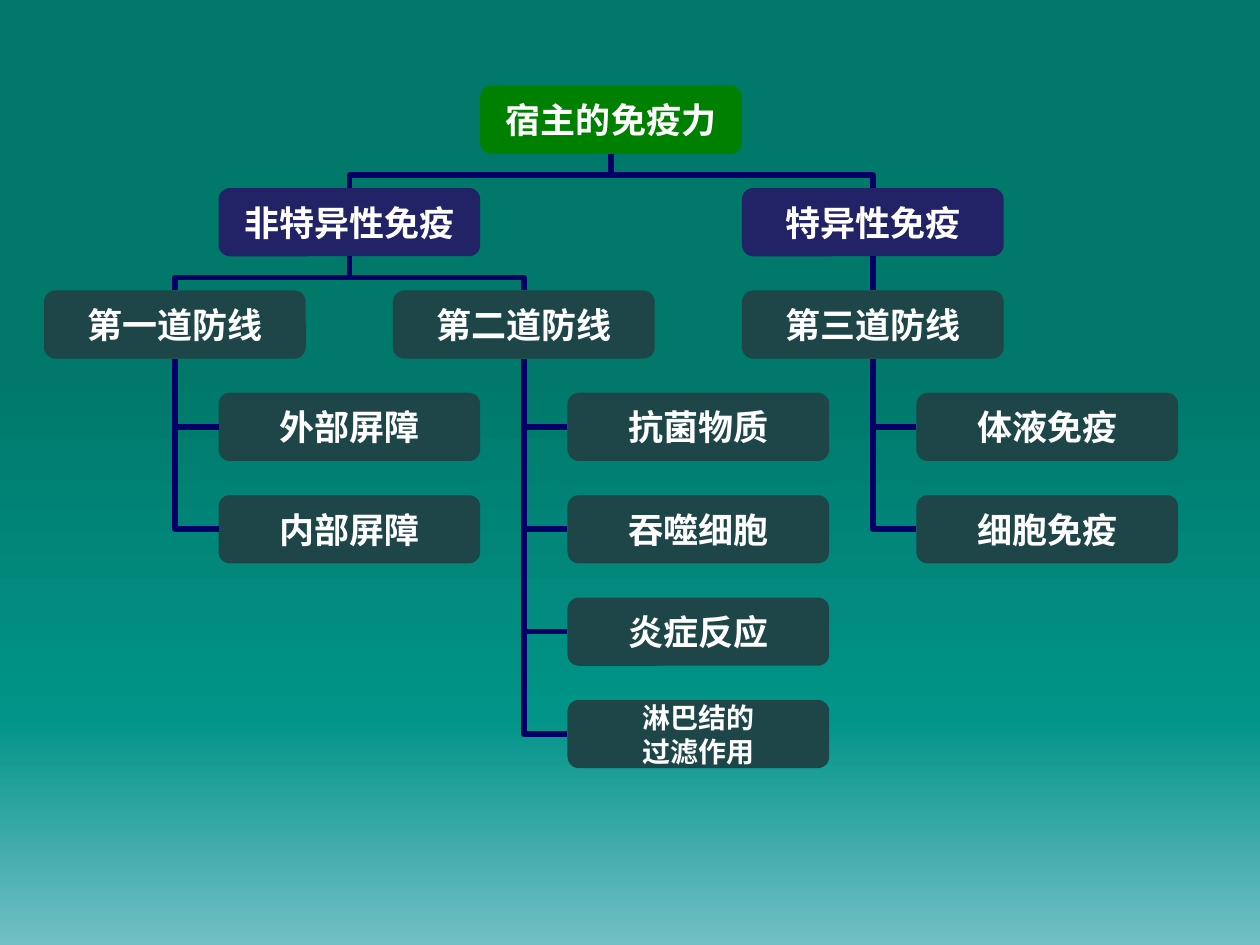
from copy import deepcopy

from lxml import etree
from pptx import Presentation
from pptx import util as u
from pptx.dml.color import RGBColor
from pptx.enum import shapes, text
from pptx.oxml.ns import qn

FONT = "Noto Sans CJK SC"
WHITE = RGBColor(0xFF, 0xFF, 0xFF)
GREEN = RGBColor(0x00, 0x80, 0x00)
INDIGO = RGBColor(0x22, 0x22, 0x67)
SLATE = RGBColor(0x1E, 0x46, 0x49)
NAVY = RGBColor(0x00, 0x00, 0x66)
BACKGROUND = [
    (0, RGBColor(0x00, 0x78, 0x6A)),
    (0.39, RGBColor(0x00, 0x78, 0x6A)),
    (0.76, RGBColor(0x01, 0x94, 0x88)),
    (1, RGBColor(0x72, 0xBF, 0xC5)),
]

# Boxes are one and a half columns wide; rows are one and a half boxes high.
LEFT, TOP = u.Inches(0.35), u.Inches(0.68)
COLUMN = u.Pt(99.7)
BOX_WIDTH, BOX_HEIGHT = int(COLUMN * 1.5), u.Pt(39)
ROW = int(BOX_HEIGHT * 1.5)

# label: (column, row, fill, parent)
BOXES = {
    "宿主的免疫力": (2.5, 0, GREEN, None),
    "非特异性免疫": (1, 1, INDIGO, "宿主的免疫力"),
    "特异性免疫": (4, 1, INDIGO, "宿主的免疫力"),
    "第一道防线": (0, 2, SLATE, "非特异性免疫"),
    "第二道防线": (2, 2, SLATE, "非特异性免疫"),
    "第三道防线": (4, 2, SLATE, "特异性免疫"),
    "外部屏障": (1, 3, SLATE, "第一道防线"),
    "内部屏障": (1, 4, SLATE, "第一道防线"),
    "抗菌物质": (3, 3, SLATE, "第二道防线"),
    "吞噬细胞": (3, 4, SLATE, "第二道防线"),
    "炎症反应": (3, 5, SLATE, "第二道防线"),
    "淋巴结的\n过滤作用": (3, 6, SLATE, "第二道防线"),
    "体液免疫": (5, 3, SLATE, "第三道防线"),
    "细胞免疫": (5, 4, SLATE, "第三道防线"),
}

presentation = Presentation()
presentation.slide_width, presentation.slide_height = u.Inches(10), u.Inches(7.5)
slide = presentation.slides.add_slide(presentation.slide_layouts[6])

fill = slide.background.fill
fill.gradient()
fill.gradient_angle = 270
stop_list = slide.element.find(".//" + qn("a:gsLst"))
for _ in BACKGROUND[2:]:
    stop_list.append(deepcopy(stop_list[0]))
for stop, (position, color) in zip(fill.gradient_stops, BACKGROUND):
    stop.position = position
    stop.color.rgb = color


def add_line(kind, x1, y1, x2, y2):
    connector = slide.shapes.add_connector(kind, *map(int, (x1, y1, x2, y2)))
    connector.line.color.rgb = NAVY
    connector.line.width = u.Pt(3.25)
    etree.SubElement(connector._element.spPr, qn("a:effectLst"))
    return connector


boxes = {}
for label, (column, row, color, parent_label) in BOXES.items():
    box = slide.shapes.add_shape(
        shapes.MSO_SHAPE.ROUNDED_RECTANGLE,
        int(LEFT + column * COLUMN), TOP + row * ROW, BOX_WIDTH, BOX_HEIGHT)
    boxes[label] = box
    box.shadow.inherit = False
    box.fill.solid()
    box.fill.fore_color.rgb = color
    box.line.fill.background()
    frame = box.text_frame
    frame_format = dict(text=label, word_wrap=True,
                        vertical_anchor=text.MSO_ANCHOR.MIDDLE,
                        margin_left=0, margin_top=0,
                        margin_right=0, margin_bottom=0)
    for name, value in frame_format.items():
        setattr(frame, name, value)
    font_format = dict(name=FONT, size=u.Pt(16 if "\n" in label else 20), bold=True)
    for paragraph in frame.paragraphs:
        paragraph.alignment = text.PP_ALIGN.CENTER
        font = paragraph.runs[0].font
        font.color.rgb = WHITE
        for name, value in font_format.items():
            setattr(font, name, value)
        etree.SubElement(font._element, qn("a:ea"), typeface=FONT)

    if parent_label is None:
        continue
    parent = boxes[parent_label]
    parent_x = parent.left + parent.width // 2
    parent_y = parent.top + parent.height
    child_x = box.left + box.width // 2
    if row > 2:  # along the side of a list
        connector = add_line(shapes.MSO_CONNECTOR.ELBOW, box.left,
                             box.top + box.height // 2, parent_x, parent_y)
        connector._element.spPr.find(qn("a:prstGeom")).set("prst", "bentConnector2")
    elif box.left == parent.left:
        connector = add_line(shapes.MSO_CONNECTOR.STRAIGHT,
                             child_x, box.top, parent_x, parent_y)
        connector.begin_connect(box, 0)
        connector.end_connect(parent, 2)
    else:  # up, across and up: a quarter-turned elbow around its centre
        center_x, center_y = (child_x + parent_x) / 2, (box.top + parent_y) / 2
        span, rise = abs(parent_x - child_x) / 2, (box.top - parent_y) / 2
        side = 1 if child_x < parent_x else -1
        connector = add_line(shapes.MSO_CONNECTOR.ELBOW,
                             center_x - side * rise, center_y - span,
                             center_x + side * rise, center_y + span)
        properties = connector._element.spPr
        quarter_turns = 3 if side == 1 else 1
        properties.find(qn("a:xfrm")).set("rot", str(quarter_turns * 90 * 60000))
        adjustments = properties.find(qn("a:prstGeom")).find(qn("a:avLst"))
        etree.SubElement(adjustments, qn("a:gd"), name="adj1", fmla="val 37800")

presentation.save("out.pptx")
